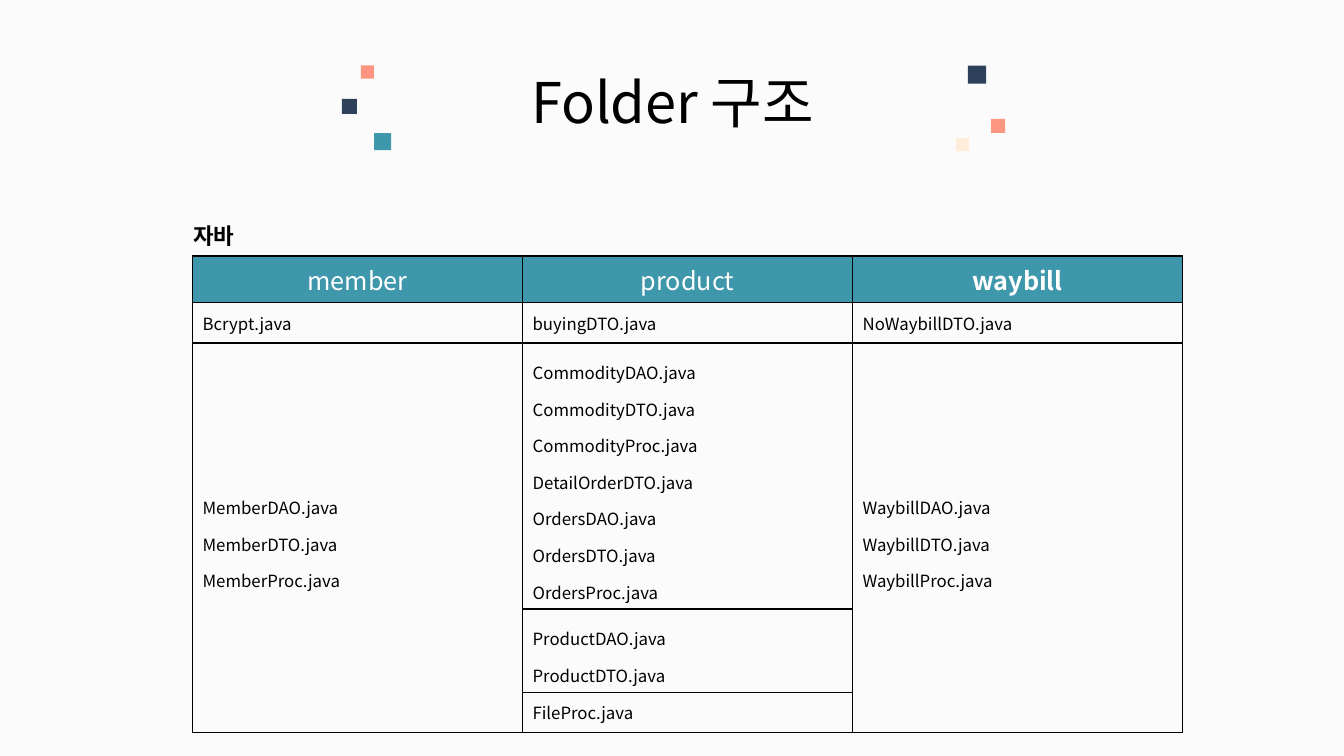
"""Builds the folder structure slide with its table of Java files."""
from dataclasses import dataclass

from lxml.etree import SubElement
from pptx import Presentation
from pptx.dml.color import RGBColor
from pptx.enum.shapes import MSO_SHAPE
from pptx.enum.text import MSO_ANCHOR, MSO_AUTO_SIZE, PP_ALIGN
from pptx.oxml.ns import qn
from pptx.util import Inches, Pt

BLACK = RGBColor(0x00, 0x00, 0x00)
WHITE = RGBColor(0xFF, 0xFF, 0xFF)
PAPER = RGBColor(0xFB, 0xFB, 0xFB)
TEAL = RGBColor(0x3F, 0x97, 0xAB)
CORAL = RGBColor(0xFC, 0x96, 0x80)
NAVY = RGBColor(0x2E, 0x40, 0x5A)
CREAM = RGBColor(0xFF, 0xEC, 0xDB)

FONT = "Noto Sans CJK KR"
COLS, ROWS = 133.3, 75
WIDTH, HEIGHT = Inches(13.33), Inches(7.5)
TABLE_COL = 32.73
TABLE_ROWS = (3.4, 4, 20.1, 6.2, 4)


@dataclass(frozen=True)
class Style:
    size: float
    color: RGBColor = BLACK
    bold: bool = False
    align: PP_ALIGN = PP_ALIGN.LEFT
    spacing: float = 1.0


@dataclass(frozen=True)
class Square:
    col: float
    row: float
    side: float
    color: RGBColor


@dataclass(frozen=True)
class Entry:
    row: int
    col: int
    lines: tuple[str, ...]
    style: Style
    span: int = 1
    fill: RGBColor | None = None


HEAD = Style(18, WHITE, align=PP_ALIGN.CENTER)
HEAD_BOLD = Style(18, WHITE, True, PP_ALIGN.CENTER)
FILE = Style(12)
FILES = Style(12, spacing=1.5)

SQUARES = (
    Square(37.1, 13.2, 1.7, TEAL),
    Square(35.8, 6.5, 1.3, CORAL),
    Square(98.3, 11.8, 1.4, CORAL),
    Square(96, 6.5, 1.8, NAVY),
    Square(94.8, 13.7, 1.3, CREAM),
    Square(33.9, 9.8, 1.5, NAVY),
)

ENTRIES = (
    Entry(0, 0, ("member",), HEAD, fill=TEAL),
    Entry(0, 1, ("product",), HEAD, fill=TEAL),
    Entry(0, 2, ("waybill",), HEAD_BOLD, fill=TEAL),
    Entry(1, 0, ("Bcrypt.java",), FILE),
    Entry(1, 1, ("buyingDTO.java",), FILE),
    Entry(1, 2, ("NoWaybillDTO.java",), FILE),
    Entry(2, 0, ("MemberDAO.java", "MemberDTO.java", "MemberProc.java"), FILES, span=3),
    Entry(2, 1, ("CommodityDAO.java", "CommodityDTO.java", "CommodityProc.java",
                 "DetailOrderDTO.java", "OrdersDAO.java", "OrdersDTO.java",
                 "OrdersProc.java"), FILES),
    Entry(2, 2, ("WaybillDAO.java", "WaybillDTO.java", "WaybillProc.java"), FILES, span=3),
    Entry(3, 1, ("ProductDAO.java", "ProductDTO.java"), FILES),
    Entry(4, 1, ("FileProc.java",), FILE),
)


def across(cols: float) -> int:
    """Returns the width of a number of grid columns."""
    return round(WIDTH * cols / COLS)


def down(rows: float) -> int:
    """Returns the height of a number of grid rows."""
    return round(HEIGHT * rows / ROWS)


def write(tf, lines: tuple[str, ...], style: Style) -> None:
    """Writes each line as one styled paragraph."""
    for i, line in enumerate(lines):
        p = tf.add_paragraph() if i else tf.paragraphs[0]
        p.alignment = style.align
        p.line_spacing = style.spacing
        r = p.add_run()
        r.text = line
        r.font.name = FONT
        r.font.size = Pt(style.size)
        r.font.bold = style.bold
        r.font.color.rgb = style.color
        SubElement(r.font._element, qn("a:ea"), typeface=FONT)


def add_text(slide, col: float, row: float, cols: float, rows: float,
             text: str, style: Style, wrap: bool) -> None:
    """Adds a text box that grows with its text."""
    sp = slide.shapes.add_textbox(across(col), down(row), across(cols), down(rows))
    tf = sp.text_frame
    tf.word_wrap = wrap
    tf.auto_size = MSO_AUTO_SIZE.SHAPE_TO_FIT_TEXT
    write(tf, (text,), style)


def add_square(slide, square: Square) -> None:
    """Adds one decorative square."""
    sp = slide.shapes.add_shape(MSO_SHAPE.RECTANGLE, across(square.col), down(square.row),
                                across(square.side), down(square.side))
    sp.shadow.inherit = False
    sp.fill.solid()
    sp.fill.fore_color.rgb = square.color
    sp.line.fill.background()


def add_borders(cell) -> None:
    """Draws a thin black line on all four sides of a cell."""
    tc_pr = cell._tc.get_or_add_tcPr()
    for side in ("lnL", "lnR", "lnT", "lnB"):
        ln = SubElement(tc_pr, qn(f"a:{side}"), w=str(Pt(1)))
        fill = SubElement(ln, qn("a:solidFill"))
        SubElement(fill, qn("a:srgbClr"), val=str(BLACK))


def add_file_table(slide, col: float, row: float) -> None:
    """Adds the table of Java files for each folder."""
    table = slide.shapes.add_table(len(TABLE_ROWS), 3, across(col), down(row),
                                   across(3 * TABLE_COL), down(sum(TABLE_ROWS))).table
    for column in table.columns:
        column.width = across(TABLE_COL)
    for table_row, rows in zip(table.rows, TABLE_ROWS):
        table_row.height = down(rows)
    for cell in table.iter_cells():
        add_borders(cell)
        cell.fill.background()
        cell.vertical_anchor = MSO_ANCHOR.MIDDLE
    for entry in ENTRIES:
        cell = table.cell(entry.row, entry.col)
        if entry.span > 1:
            cell.merge(table.cell(entry.row + entry.span - 1, entry.col))
        if entry.fill is not None:
            cell.fill.solid()
            cell.fill.fore_color.rgb = entry.fill
        write(cell.text_frame, entry.lines, entry.style)


def main() -> None:
    """Builds and saves the slide."""
    prs = Presentation()
    prs.slide_width, prs.slide_height = WIDTH, HEIGHT
    slide = prs.slides.add_slide(prs.slide_layouts[6])
    slide.background.fill.solid()
    slide.background.fill.fore_color.rgb = PAPER
    add_file_table(slide, 19.1, 25.4)
    add_text(slide, 18.2, 20.2, 17, 5, "자바", Style(16, bold=True, spacing=1.5), True)
    for square in SQUARES:
        add_square(slide, square)
    add_text(slide, 49.6, 6.2, 34.2, 7.7, "Folder 구조",
             Style(40, align=PP_ALIGN.CENTER), False)
    prs.save("out.pptx")


if __name__ == "__main__":
    main()
